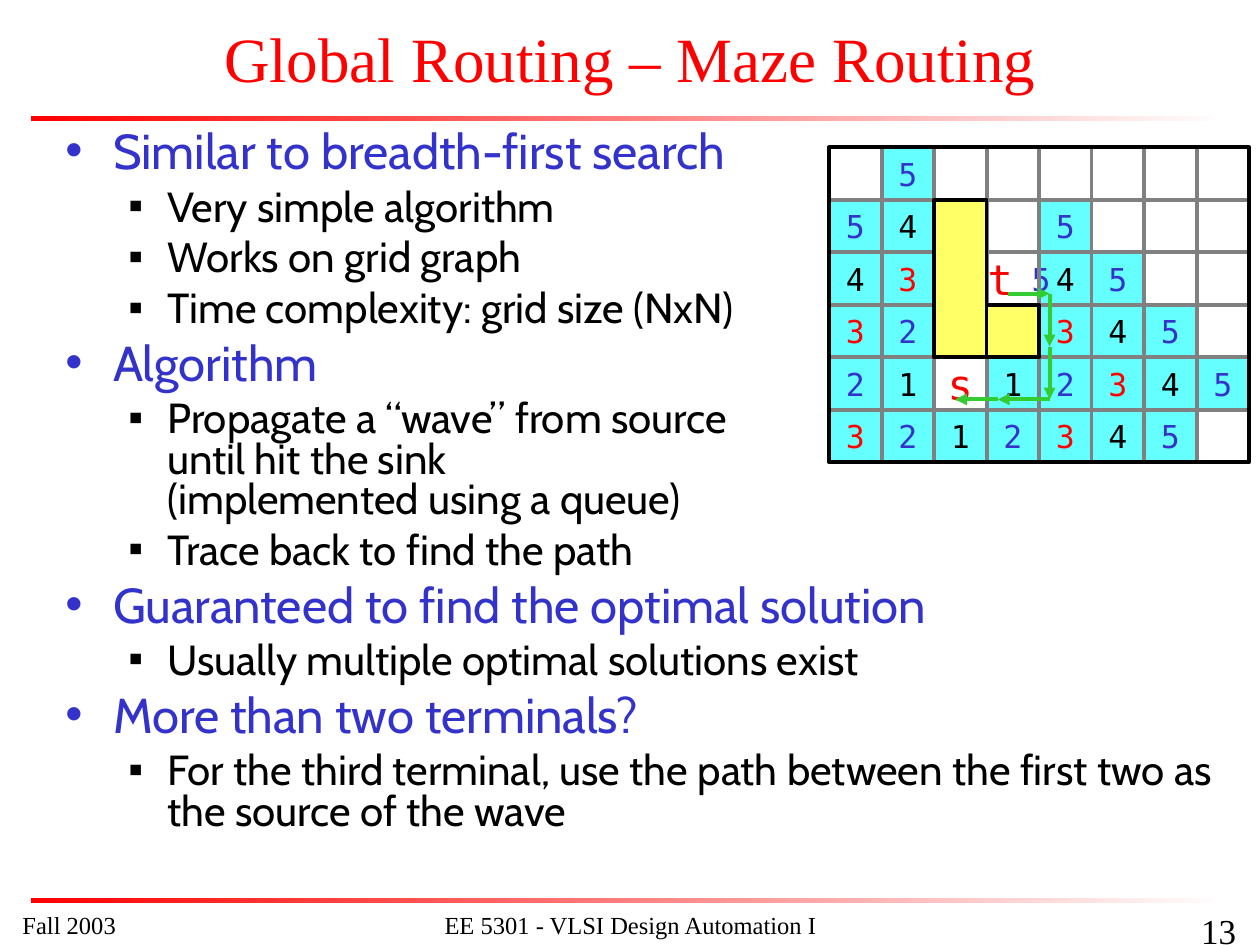
import pptx
import pptx.util
import pptx.dml.color
import pptx.enum.shapes
import pptx.enum.text
import pptx.oxml
import pptx.oxml.ns
import lxml.etree

Inches, Pt = pptx.util.Inches, pptx.util.Pt
ALIGN = pptx.enum.text.PP_ALIGN
ANCHOR = pptx.enum.text.MSO_ANCHOR
RECT = pptx.enum.shapes.MSO_SHAPE.RECTANGLE
LINE = pptx.enum.shapes.MSO_CONNECTOR.STRAIGHT
qn = pptx.oxml.ns.qn

SERIF, SANS, MONO = "Times New Roman", "Cabin", "DejaVu Sans Mono"
RED, BLUE, BLACK = "FF0000", "3333CC", "000000"
HUES = (RED, BLACK, BLUE)

# Maze: distance of each cell from the source, dots are unreached
LEFT, TOP, CELL = 6.58, 1.17, 5 / 12
WAVE = (".5......",
        "54..5...",
        "43..45..",
        "32..345.",
        "21.12345",
        "3212345.")
ROWS, COLS = len(WAVE), len(WAVE[0])
TRACE = ((8, 2.33), (8.33, 2.33), (8.33, 2.75), (8.33, 3.17),
         (7.92, 3.17), (7.58, 3.17))

# Level and text of each body line
BODY = (
    (0, "Similar to breadth-first search"),
    (1, "Very simple algorithm"),
    (1, "Works on grid graph"),
    (1, "Time complexity: grid size (NxN)"),
    (0, "Algorithm"),
    (1, "Propagate a “wave” from source\nuntil hit the sink\n"
        "(implemented using a queue)"),
    (1, "Trace back to find the path"),
    (0, "Guaranteed to find the optimal solution"),
    (1, "Usually multiple optimal solutions exist"),
    (0, "More than two terminals?"),
    (1, "For the third terminal, use the path between the first two as "
        "the source of the wave"),
)
LEVELS = (
    dict(size=28, hue=BLUE, mark="•", font="Arial", left=0.38, hang=-0.38, gap=7),
    dict(size=24, hue=BLACK, mark="▪", font="Arial", left=0.81, hang=-0.31, gap=6),
)


def assign(item, values):
    for name, value in values.items():
        setattr(item, name, value)


def paint(color, hue):
    color.rgb = pptx.dml.color.RGBColor.from_string(hue)


def write(para, text, size, font, hue):
    para.text = text
    for run in para.runs:
        assign(run.font, dict(size=Pt(size), name=font))
        paint(run.font.color, hue)


def label(shape, text, size, font, hue, align=ALIGN.CENTER,
          anchor=ANCHOR.TOP, wrap=True):
    frame = shape.text_frame
    assign(frame, dict(word_wrap=wrap, vertical_anchor=anchor))
    if not wrap:
        assign(frame, dict(margin_left=0, margin_right=0,
                           margin_top=0, margin_bottom=0))
    para = frame.paragraphs[0]
    para.alignment = align
    write(para, text, size, font, hue)


def text_box(slide, box):
    return slide.shapes.add_textbox(*map(Inches, box))


def block(slide, box, fill=None, edge=None):
    shape = slide.shapes.add_shape(RECT, *map(Inches, box))
    shape.shadow.inherit = False
    if fill:
        shape.fill.solid()
        paint(shape.fill.fore_color, fill)
    else:
        shape.fill.background()
    if edge:
        shape.line.width = Pt(2.25)
        paint(shape.line.color, edge)
    else:
        shape.line.fill.background()
    return shape


def rule(slide, top):
    shape = block(slide, (0.25, top, 9.5, 0.04))
    shape.fill.gradient()
    shape.fill.gradient_angle = 180
    for stop, hue in zip(shape.fill.gradient_stops, ("FFFFFF", RED)):
        paint(stop.color, hue)


def line(slide, start, end, hue, arrow=False):
    link = slide.shapes.add_connector(LINE, *map(Inches, (*start, *end)))
    link.line.width = Pt(2.25)
    paint(link.line.color, hue)
    if arrow:
        tip = lxml.etree.SubElement(link.line._get_or_add_ln(), qn("a:tailEnd"))
        tip.set("type", "triangle")
    lxml.etree.SubElement(link._element.spPr, qn("a:effectLst"))


def spot(col, row, wide=1, high=1):
    return LEFT + col * CELL, TOP + row * CELL, wide * CELL, high * CELL


def bullet(para, look):
    props = para._p.get_or_add_pPr()
    props.set("marL", str(Inches(look["left"])))
    props.set("indent", str(Inches(look["hang"])))
    tint = lxml.etree.SubElement(props, qn("a:buClr"))
    lxml.etree.SubElement(tint, qn("a:srgbClr")).set("val", look["hue"])
    lxml.etree.SubElement(props, qn("a:buFont")).set("typeface", look["font"])
    lxml.etree.SubElement(props, qn("a:buChar")).set("char", look["mark"])


def outline(slide):
    frame = text_box(slide, (0.42, 1, 9.42, 6.08)).text_frame
    frame.word_wrap = True
    for spot_no, (level, text) in enumerate(BODY):
        para = frame.add_paragraph() if spot_no else frame.paragraphs[0]
        look = LEVELS[level]
        assign(para, dict(level=level, line_spacing=0.8,
                          space_before=Pt(look["gap"])))
        bullet(para, look)
        write(para, text, look["size"], SANS, look["hue"])


def maze(slide):
    mid = dict(anchor=ANCHOR.MIDDLE, wrap=False)
    # Wave cells
    for row, steps in enumerate(WAVE):
        for col, step in enumerate(steps):
            if step != ".":
                shape = block(slide, spot(col, row), "66FFFF")
                label(shape, step, 18, MONO, HUES[int(step) % 3], **mid)
    # Source, sink and the sink's distance
    for col, row, text, size, hue in ((2, 4, "s", 24, RED),
                                      (3.54, 2, "5", 18, BLUE),
                                      (2.76, 2, "t", 24, RED)):
        label(text_box(slide, spot(col, row)), text, size, MONO, hue, **mid)
    # Grid lines and frame
    for row in range(1, ROWS):
        line(slide, spot(0, row)[:2], spot(COLS, row)[:2], "808080")
    for col in range(1, COLS):
        line(slide, spot(col, 0)[:2], spot(col, ROWS)[:2], "808080")
    block(slide, spot(0, 0, COLS, ROWS), edge=BLACK)
    # Obstacles
    for wall in (spot(2, 1, 1, 3), spot(3, 3)):
        block(slide, wall, "FFFF66", BLACK)
    # Trace back from sink to source
    for start, end in zip(TRACE, TRACE[1:]):
        line(slide, start, end, "33CC33", arrow=True)


def main():
    deck = pptx.Presentation()
    assign(deck, dict(slide_width=Inches(10), slide_height=Inches(7.5)))
    slide = deck.slides.add_slide(deck.slide_layouts[6])
    # Rules and title
    for top in (0.92, 7.13):
        rule(slide, top)
    label(text_box(slide, (0, 0.08, 10, 0.75)), "Global Routing – Maze Routing",
          36, SERIF, RED, anchor=ANCHOR.MIDDLE)
    outline(slide)
    maze(slide)
    # Footer
    for box, text, size, align in (
            ((3.17, 7.17, 3.67, 0.33), "EE 5301 - VLSI Design Automation I",
             14, ALIGN.CENTER),
            ((7.83, 7.17, 2.08, 0.25), "13", 20, ALIGN.RIGHT),
            ((0.08, 7.17, 2.08, 0.25), "Fall 2003", 14, ALIGN.LEFT)):
        label(text_box(slide, box), text, size, SERIF, BLACK, align)
    deck.save("out.pptx")


if __name__ == "__main__":
    main()
